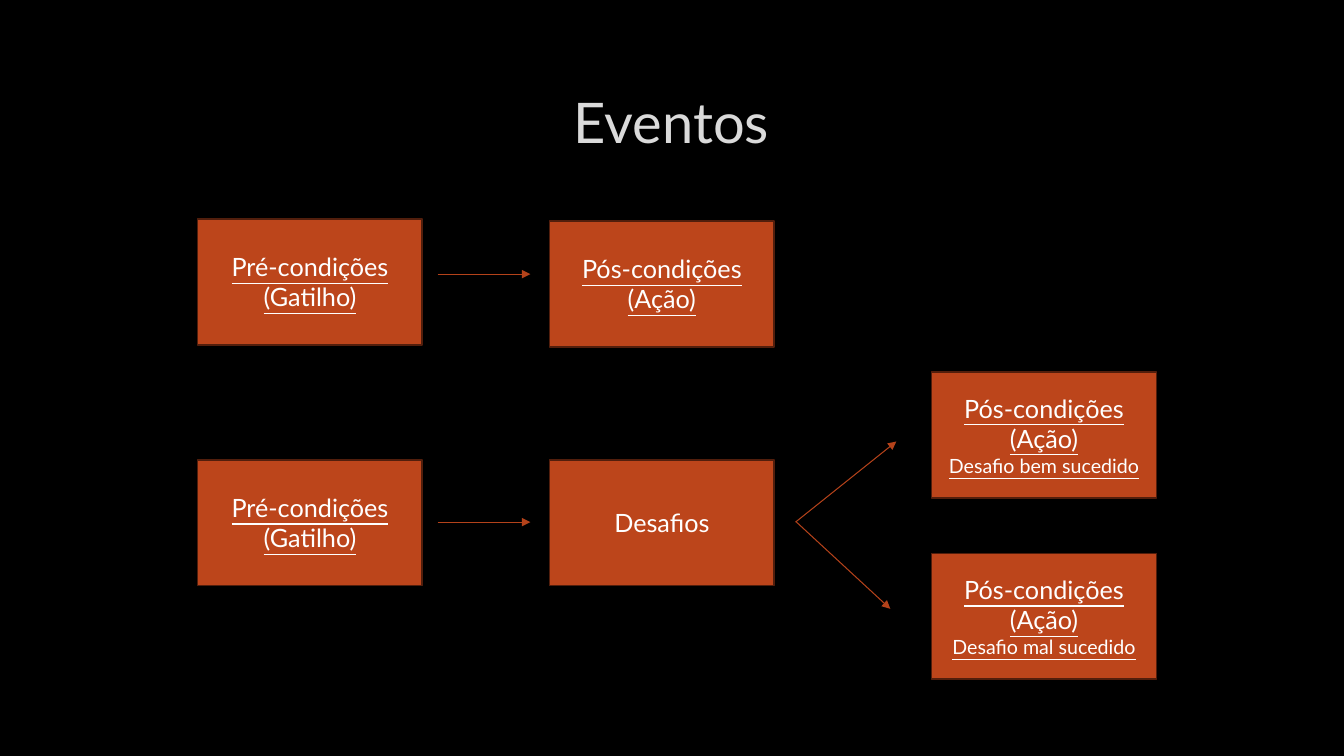
"""Builds the Eventos slide: two flows of conditions, challenges and outcomes."""
from lxml import etree
from pptx import Presentation, util as u
from pptx.dml.color import RGBColor
from pptx.enum import shapes, text
from pptx.oxml.ns import qn

TRIGGER = ["Pré-condições", "(Gatilho)"]
ACTION = ["Pós-condições", "(Ação)"]
COLUMNS = [1.96, 5.45, 9.24]
BOX_SIZE = (2.23, 1.25)
BOXES = [
    (0, 2.17, TRIGGER, None),
    (0, 4.56, TRIGGER, None),
    (1, 4.56, ["Desafios"], None),
    (1, 2.19, ACTION, None),
    (2, 3.69, ACTION, "Desafio bem sucedido"),
    (2, 5.49, ACTION, "Desafio mal sucedido"),
]
ARROWS = [
    (4.34, 2.72, 5.26, 2.72),
    (4.34, 5.18, 5.26, 5.18),
    (7.89, 5.18, 8.89, 4.38),
    (7.9, 5.18, 8.83, 6.04),
]


def color(value):
    return RGBColor.from_string(value)


def inches(*values):
    return [u.Inches(value) for value in values]


def write(para, words, size=18, fill="FFFFFF", underline=False):
    para.alignment = text.PP_ALIGN.CENTER
    span = para.add_run()
    span.text = words
    font = span.font
    font.name, font.size, font.underline = "Lato", u.Pt(size), underline
    font.color.rgb = color(fill)


def add_title(page, words):
    title = page.shapes.title
    title.left, title.top, title.width, title.height = inches(1, 0.67, 11.32, 1.06)
    title.text_frame.vertical_anchor = text.MSO_ANCHOR.MIDDLE
    write(title.text_frame.paragraphs[0], words, size=40, fill="DADADA")


def add_box(page, column, top, lines, outcome):
    box = page.shapes.add_shape(
        shapes.MSO_SHAPE.RECTANGLE, *inches(COLUMNS[column], top, *BOX_SIZE))
    box.shadow.inherit = False
    box.fill.solid()
    box.fill.fore_color.rgb = color("BC451B")
    box.line.color.rgb = color("521E0C")
    box.line.width = u.Pt(1.25)
    frame = box.text_frame
    frame.word_wrap = True
    frame.vertical_anchor = text.MSO_ANCHOR.MIDDLE
    entries = [(line, 18) for line in lines]
    if outcome:
        entries.append((outcome, 14))
    for index, (words, size) in enumerate(entries):
        para = frame.add_paragraph() if index else frame.paragraphs[0]
        write(para, words, size=size, underline=len(entries) > 1)


def add_arrow(page, *ends):
    arrow = page.shapes.add_connector(shapes.MSO_CONNECTOR.STRAIGHT, *inches(*ends))
    arrow.line.color.rgb = color("B4421A")
    arrow.line.width = u.Pt(0.75)
    etree.SubElement(arrow.line._get_or_add_ln(), qn("a:tailEnd"), type="triangle")
    etree.SubElement(arrow._element.spPr, qn("a:effectLst"))


def main():
    deck = Presentation()
    deck.slide_width, deck.slide_height = inches(13.33, 7.5)
    page = deck.slides.add_slide(deck.slide_layouts.get_by_name("Title Only"))
    page.background.fill.solid()
    page.background.fill.fore_color.rgb = color("000000")
    add_title(page, "Eventos")
    for box in BOXES:
        add_box(page, *box)
    for arrow in ARROWS:
        add_arrow(page, *arrow)
    deck.save("out.pptx")


if __name__ == "__main__":
    main()
